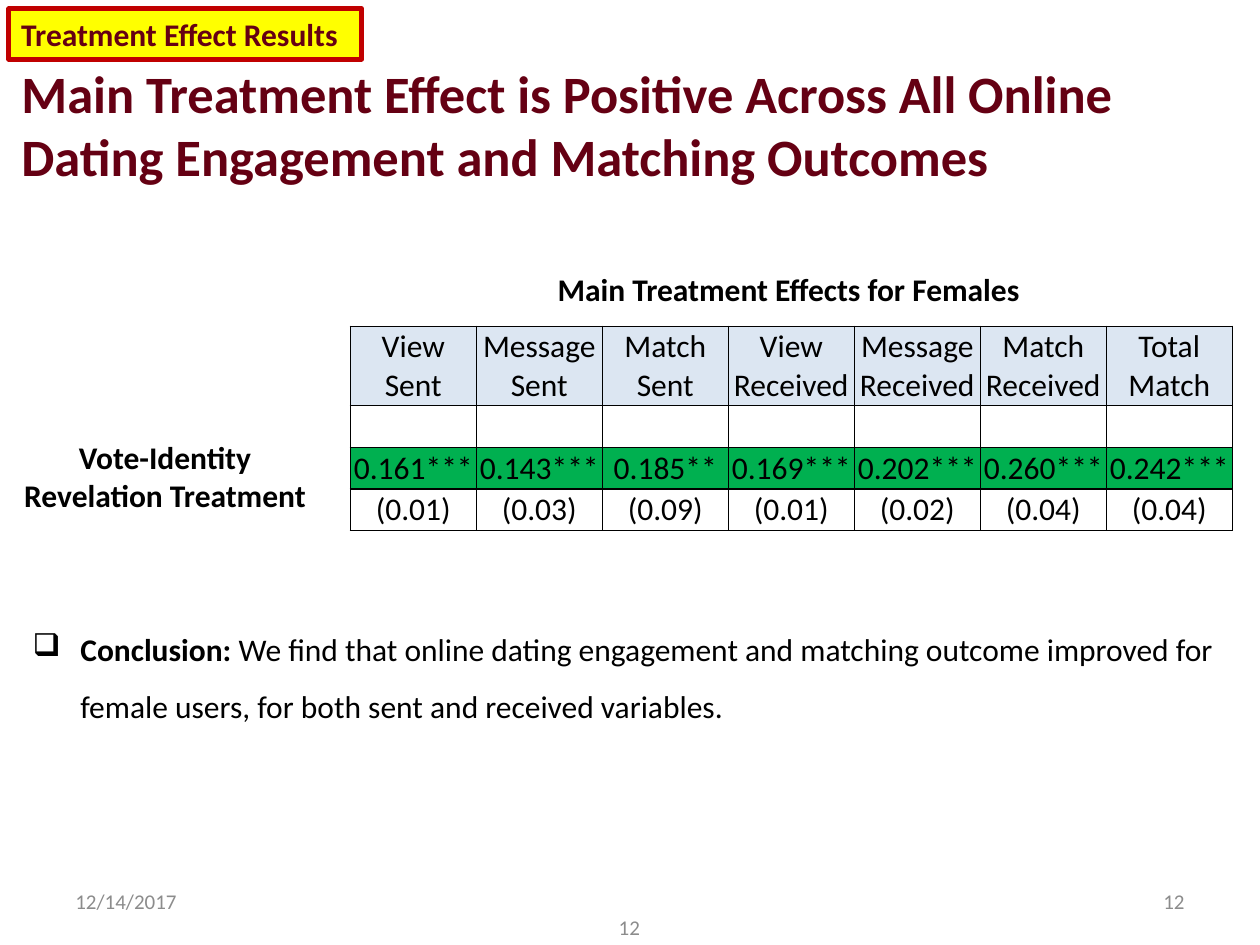
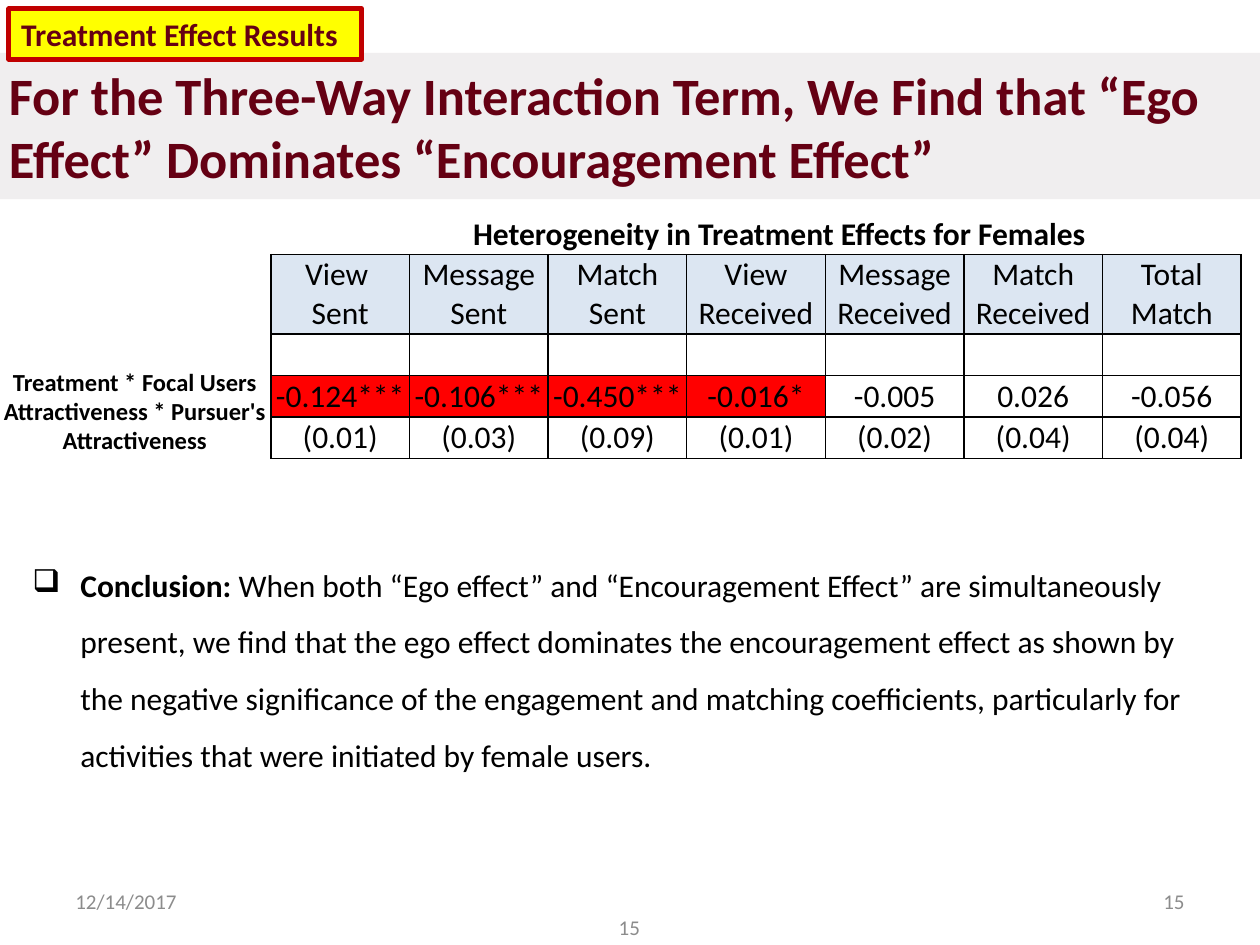
"""Build two slides that report treatment effects for female users."""
from lxml import etree
from pptx import Presentation
from pptx import util as u
from pptx.dml.color import RGBColor
from pptx.enum import shapes, text
from pptx.oxml import ns

COLORS = {
    "maroon": "650013", "black": "000000", "gray": "8C8C8C", "white": "FFFFFF",
    "yellow": "FFFF00", "dark_red": "C00000", "band": "F0EEEF",
    "header": "DCE6F2", "green": "00B050", "red": "FF0000",
}
FONT = "Calibri"
LEFT, CENTER, RIGHT = text.PP_ALIGN.LEFT, text.PP_ALIGN.CENTER, text.PP_ALIGN.RIGHT
TOP, MIDDLE, BOTTOM = text.MSO_ANCHOR.TOP, text.MSO_ANCHOR.MIDDLE, text.MSO_ANCHOR.BOTTOM
ROW_HEIGHTS = [0.63, 0.33, 0.33, 0.33]
OUTCOMES = ["View Sent", "Message Sent", "Match Sent", "View Received",
            "Message Received", "Match Received", "Total Match"]
ERRORS = ["(0.01)", "(0.03)", "(0.09)", "(0.01)", "(0.02)", "(0.04)", "(0.04)"]

RESULTS = [
    {
        "title": "Main Treatment Effect is Positive Across All Online "
                 "Dating Engagement and Matching Outcomes",
        "title_box": (0.07, 0.32, 9.93, 1.33),
        "title_fill": None,
        "caption": " Main Treatment Effects for Females",
        "caption_box": (4.27, 2.09, 4.02, 0.4),
        "label": "Vote-Identity Revelation Treatment",
        "label_box": (0, 3.43, 2.62, 0.71),
        "label_size": 18,
        "table_at": (2.78, 2.59),
        "column_width": 1.0,
        "outcomes": OUTCOMES,
        "effects": ["0.161***", "0.143***", "0.185**", "0.169***",
                    "0.202***", "0.260***", "0.242***"],
        "highlight": "green",
        "conclusion": " We find that online dating engagement and matching outcome "
                      "improved for female users, for both sent and received variables.",
        "conclusion_box": (0.16, 4.8, 9.69, 1.01),
        "number": "12",
    },
    {
        "title": "For the Three-Way Interaction Term, We Find that “Ego Effect” "
                 "Dominates “Encouragement Effect”",
        "title_box": (-0.03, 0.42, 10.24, 1.16),
        "title_fill": "band",
        "caption": " Heterogeneity in Treatment Effects for Females",
        "caption_box": (3.6, 1.65, 5.23, 0.4),
        "label": "Treatment * Focal Users Attractiveness * Pursuer's Attractiveness",
        "label_box": (-0.15, 2.86, 2.44, 0.81),
        "label_size": 14,
        "table_at": (2.15, 2.02),
        "column_width": 1.1,
        "outcomes": ["View \nSent"] + OUTCOMES[1:],
        "effects": ["-0.124***", "-0.106***", "-0.450***", "-0.016*",
                    "-0.005", "0.026", "-0.056"],
        "highlight": "red",
        "conclusion": " When both “Ego effect” and “Encouragement Effect” are "
                      "simultaneously present, we find that the ego effect dominates the "
                      "encouragement effect as shown by the negative significance of the "
                      "engagement and matching coefficients, particularly for activities "
                      "that were initiated by female users.",
        "conclusion_box": (0.16, 4.29, 9.56, 1.92),
        "number": "15",
    },
]


def write_text(frame, words, lead="", size=18, color="black", bold=False,
               align=LEFT, anchor=TOP, wrap=True):
    """Fill a text frame, with an optional bold lead before the words."""
    frame.word_wrap = wrap
    frame.vertical_anchor = anchor
    for index, line in enumerate(words.split("\n")):
        paragraph = frame.add_paragraph() if index else frame.paragraphs[0]
        paragraph.alignment = align
        for part, is_bold in ((lead, True), (line, bold)):
            if part:
                run = paragraph.add_run()
                run.text = part
                run.font.name = FONT
                run.font.size = u.Pt(size)
                run.font.bold = is_bold
                run.font.color.rgb = RGBColor.from_string(COLORS[color])


def add_text(slide, box, words, **style):
    """Add a text box and return its text frame."""
    frame = slide.shapes.add_textbox(*map(u.Inches, box)).text_frame
    write_text(frame, words, **style)
    return frame


presentation = Presentation()
presentation.slide_width = u.Inches(10)
presentation.slide_height = u.Inches(7.5)

for result in RESULTS:
    slide = presentation.slides.add_slide(presentation.slide_layouts[5])

    title = slide.shapes.title
    title.left, title.top, title.width, title.height = map(u.Inches, result["title_box"])
    if result["title_fill"]:
        title.fill.solid()
        title.fill.fore_color.rgb = RGBColor.from_string(COLORS[result["title_fill"]])
    write_text(title.text_frame, result["title"], size=30, color="maroon",
               bold=True, anchor=MIDDLE)
    title.text_frame.auto_size = text.MSO_AUTO_SIZE.NONE

    add_text(slide, result["caption_box"], result["caption"], bold=True, wrap=False)

    conclusion = add_text(slide, result["conclusion_box"], result["conclusion"],
                          lead="Conclusion:")
    paragraph = conclusion.paragraphs[0]
    paragraph.line_spacing = 1.5
    properties = paragraph._p.get_or_add_pPr()
    properties.set("marL", str(u.Inches(0.38)))
    properties.set("indent", str(-u.Inches(0.38)))
    etree.SubElement(properties, ns.qn("a:buChar")).set("char", "❑")

    rows = [result["outcomes"], [""] * len(OUTCOMES), result["effects"], ERRORS]
    left, top = result["table_at"]
    table = slide.shapes.add_table(
        len(rows), len(OUTCOMES), u.Inches(left), u.Inches(top),
        u.Inches(result["column_width"] * len(OUTCOMES)),
        u.Inches(sum(ROW_HEIGHTS))).table
    table.first_row = table.horz_banding = False
    for column in table.columns:
        column.width = u.Inches(result["column_width"])
    for row_index, row in enumerate(rows):
        table.rows[row_index].height = u.Inches(ROW_HEIGHTS[row_index])
        for column_index, words in enumerate(row):
            cell = table.cell(row_index, column_index)
            cell.margin_left = cell.margin_right = u.Inches(0.02)
            cell.margin_top = cell.margin_bottom = u.Inches(0.01)
            cell.vertical_anchor = BOTTOM
            write_text(cell.text_frame, words, align=CENTER, anchor=BOTTOM)
            for side in ("lnL", "lnR", "lnT", "lnB"):
                border = etree.SubElement(cell._tc.get_or_add_tcPr(), ns.qn(f"a:{side}"))
                border.set("w", str(u.Pt(1)))
                fill = etree.SubElement(border, ns.qn("a:solidFill"))
                etree.SubElement(fill, ns.qn("a:srgbClr")).set("val", COLORS["black"])
            significant = words.endswith("*")
            fill_name = ("header" if row_index == 0 else
                         result["highlight"] if significant else "white")
            cell.fill.solid()
            cell.fill.fore_color.rgb = RGBColor.from_string(COLORS[fill_name])

    add_text(slide, result["label_box"], result["label"], size=result["label_size"],
             bold=True, align=CENTER)

    badge = slide.shapes.add_shape(shapes.MSO_SHAPE.RECTANGLE,
                                   *map(u.Inches, (0.07, 0.07, 2.8, 0.4)))
    badge.shadow.inherit = False
    badge.fill.solid()
    badge.fill.fore_color.rgb = RGBColor.from_string(COLORS["yellow"])
    badge.line.color.rgb = RGBColor.from_string(COLORS["dark_red"])
    badge.line.width = u.Pt(2.75)
    write_text(badge.text_frame, "Treatment Effect Results", color="maroon", bold=True)

    for left, top, words, align in ((0.5, 6.95, "12/14/2017", LEFT),
                                    (3.83, 7.16, result["number"], CENTER),
                                    (7.17, 6.95, result["number"], RIGHT)):
        add_text(slide, (left, top, 2.33, 0.4), words, size=12, color="gray",
                 align=align, anchor=MIDDLE)

presentation.save("out.pptx")
